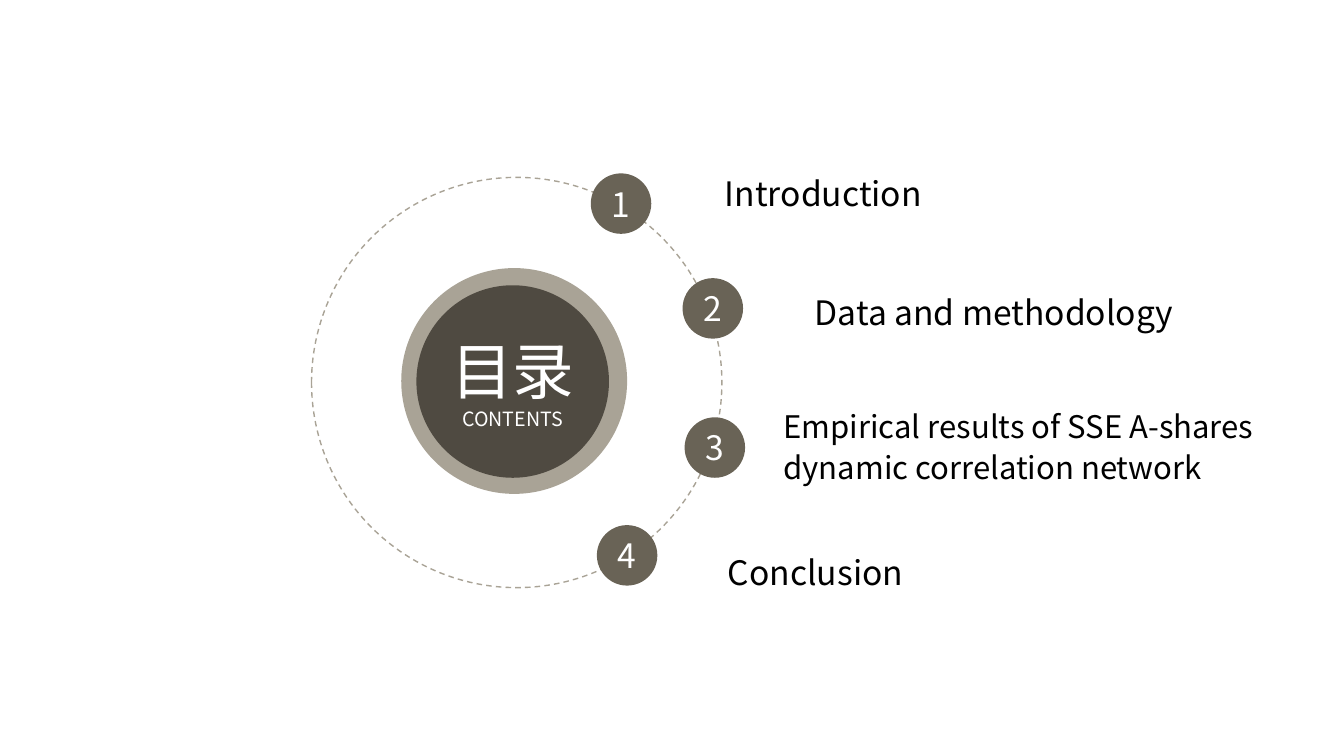
from lxml import etree
from pptx import Presentation
from pptx.dml.color import RGBColor
from pptx.enum import dml, shapes, text
from pptx.oxml import ns
from pptx.util import Inches, Pt

DARK = RGBColor(0x4F, 0x4A, 0x41)
BROWN = RGBColor(0x69, 0x63, 0x56)
SAND = RGBColor(0xA9, 0xA3, 0x96)
WHITE = RGBColor(0xFF, 0xFF, 0xFF)
BLACK = RGBColor(0, 0, 0)
FONT = "Noto Sans CJK SC"
BADGE = 0.6

# badge left and top, label left, top and width, label size, line spacing, label
TOPICS = [
    (5.86, 1.72, 7.15, 1.46, 3.91, 24, 1.2, "Introduction"),
    (6.77, 2.76, 8.04, 2.64, 4.41, 24, 1.2, "Data and methodology"),
    (6.79, 4.14, 7.73, 3.99, 5.42, 22.2, 1.1,
     "Empirical results of SSE A-shares dynamic correlation network"),
    (5.92, 5.21, 7.18, 5.22, 4.03, 24, 1.2, "Conclusion"),
]


def write(shape, words, sizes, color, align, inset=0, spacing=None):
    """Fill a shape with one paragraph per line of words, each with its size."""
    frame = shape.text_frame
    frame.text = words
    frame.word_wrap = True
    frame.vertical_anchor = text.MSO_ANCHOR.MIDDLE
    frame.margin_left = Inches(inset)
    frame.margin_top = frame.margin_right = frame.margin_bottom = 0
    for para, size in zip(frame.paragraphs, sizes):
        para.alignment = align
        if spacing:
            para.line_spacing = spacing
        for run in para.runs:
            run.font.size = Pt(size)
            run.font.color.rgb = color
            run.font.name = FONT
            props = run._r.get_or_add_rPr()
            etree.SubElement(props, ns.qn("a:ea")).set("typeface", FONT)


def disc(slide, left, top, size, fill=None):
    """Add a circle without outline, unfilled if no colour is given."""
    oval = slide.shapes.add_shape(
        shapes.MSO_SHAPE.OVAL, Inches(left), Inches(top), Inches(size), Inches(size))
    oval.shadow.inherit = False
    oval.line.fill.background()
    if fill is None:
        oval.fill.background()
    else:
        oval.fill.solid()
        oval.fill.fore_color.rgb = fill
    return oval


def hub(slide, left, top, size):
    """Draw the dashed orbit in the given square, with the title disc inside."""
    disc(slide, left + 0.89, top + 0.9, 2.24, SAND)
    orbit = disc(slide, left, top, size)
    orbit.line.color.rgb = SAND
    orbit.line.width = Pt(1)
    orbit.line.dash_style = dml.MSO_LINE.DASH
    title = disc(slide, left + 1.04, top + 1.07, 1.91, DARK)
    write(title, "目录\nCONTENTS", (44, 14), WHITE, text.PP_ALIGN.CENTER)


def label(slide, left, top, width, size, spacing, words):
    box = slide.shapes.add_textbox(
        Inches(left), Inches(top), Inches(width), Inches(0.84))
    write(box, words, (size,), BLACK, text.PP_ALIGN.LEFT, 0.04, spacing)


def badge(slide, left, top, number):
    mark = disc(slide, left, top, BADGE, BROWN)
    write(mark, str(number), (24,), WHITE, text.PP_ALIGN.CENTER)


def main():
    deck = Presentation()
    deck.slide_width, deck.slide_height = Inches(13.33), Inches(7.5)
    slide = deck.slides.add_slide(deck.slide_layouts[6])
    hub(slide, 3.09, 1.76, 4.07)
    for number, (left, top, *topic) in enumerate(TOPICS, 1):
        label(slide, *topic)
        badge(slide, left, top, number)
    deck.save("out.pptx")


if __name__ == "__main__":
    main()
